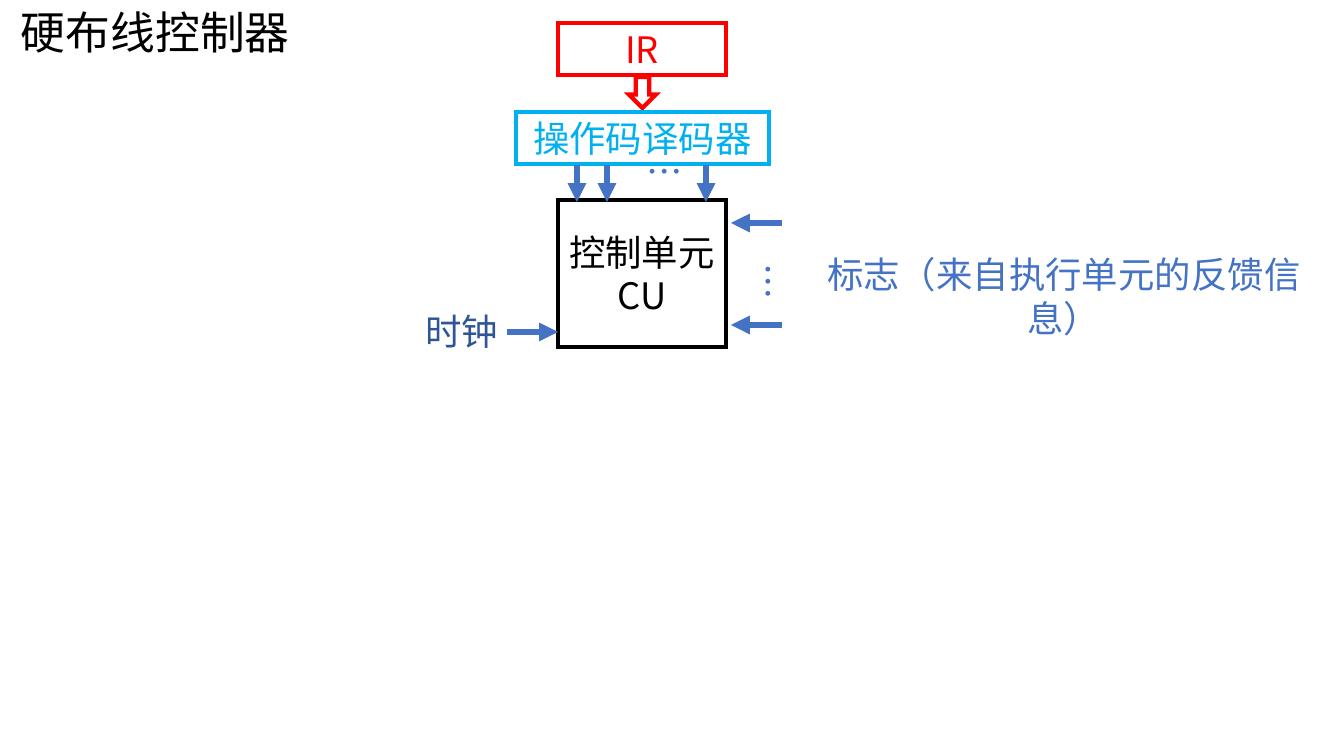
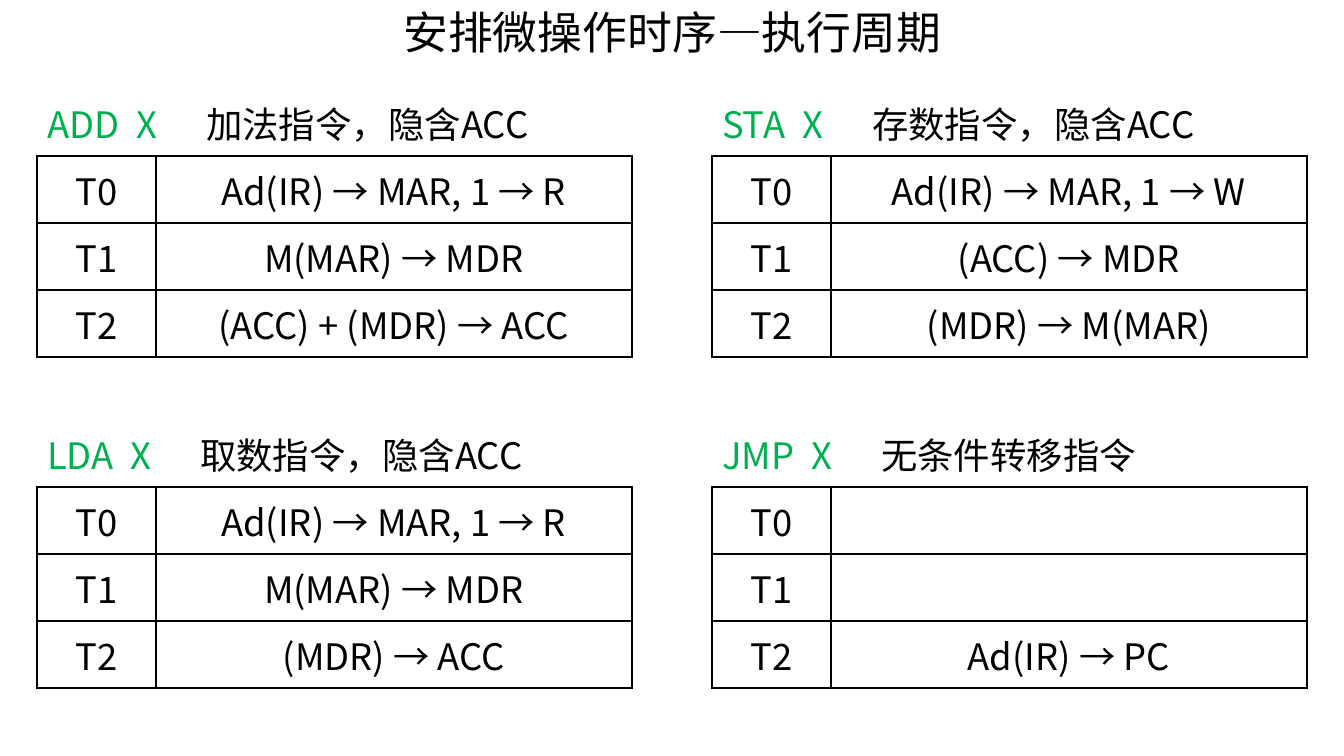
from dataclasses import dataclass
from itertools import product
from typing import Optional

from lxml.etree import SubElement
from pptx import Presentation
from pptx.dml.color import RGBColor
from pptx.enum.shapes import MSO_CONNECTOR as Conn, MSO_SHAPE as Shp
from pptx.enum.text import MSO_ANCHOR as Anchor, MSO_AUTO_SIZE as Auto, PP_ALIGN as Align
from pptx.oxml.ns import qn
from pptx.util import Emu, Pt

# Shared style
SLIDE_W, SLIDE_H = 1344, 756
EMU_PER_PX = 12192000 / SLIDE_W
FONT = "Noto Sans CJK SC"
TITLE_PT, BODY_PT = 32, 26
BLACK, RED, CYAN, GREEN = "000000", "FF0000", "00B0F0", "00B050"
BLUE, NAVY = "4472C4", "2F5597"

# Table grid
TABLE_XS, TABLE_YS = (37, 712), (89, 420)
COL_WIDTHS = (119, 476)
ROW_H = 67
NOTE_GAP = 70


@dataclass
class Block:
    box: tuple[int, int, int, int]
    color: str
    lines: tuple[str, ...] = ()
    kind: Shp = Shp.RECTANGLE


@dataclass
class Label:
    box: tuple[int, int, int, int]
    text: str
    color: str
    vertical: bool = False
    rotation: int = 0


@dataclass
class Arrow:
    start: tuple[int, int]
    end: tuple[int, int]


@dataclass
class Instruction:
    name: str
    operand_tab: int
    note: str
    steps: tuple[str, str, str]


BLOCKS = (
    Block((558, 200, 168, 147), BLACK, ("控制单元", "CU")),
    Block((558, 23, 168, 52), RED, ("IR",)),
    Block((629, 77, 27, 31), RED, kind=Shp.DOWN_ARROW),
    Block((516, 112, 253, 52), CYAN, ("操作码译码器",)),
)
LABELS = (
    Label((411, 304, 101, 54), "时钟", NAVY),
    Label((795, 247, 538, 54), "标志（来自执行单元的反馈信息）", BLUE),
    Label((731, 254, 65, 40), "…", BLUE, vertical=True),
    Label((624, 157, 65, 40), "…", BLUE, vertical=True, rotation=270),
)
ARROWS = (
    Arrow((507, 332), (558, 332)),
    *(Arrow((782, y), (731, y)) for y in (223, 325)),
    *(Arrow((x, 165), (x, 202)) for x in (577, 607, 706)),
)
INSTRUCTIONS = (
    Instruction("ADD", 89, "加法指令，隐含ACC",
                ("Ad(IR) → MAR, 1 → R", "M(MAR) → MDR", "(ACC) + (MDR) → ACC")),
    Instruction("STA", 80, "存数指令，隐含ACC",
                ("Ad(IR) → MAR, 1 → W", "(ACC) → MDR", "(MDR) → M(MAR)")),
    Instruction("LDA", 83, "取数指令，隐含ACC",
                ("Ad(IR) → MAR, 1 → R", "M(MAR) → MDR", "(MDR) → ACC")),
    Instruction("JMP", 89, "无条件转移指令", ("", "", "Ad(IR) → PC")),
)


# Helpers
def px(n: int) -> Emu:
    return Emu(round(n * EMU_PER_PX))


def place(box: tuple[int, int, int, int]) -> list[Emu]:
    return [px(n) for n in box]


def rgb(color: str) -> RGBColor:
    return RGBColor.from_string(color)


def add_run(p, text: str, color: str = BLACK, size: int = BODY_PT) -> None:
    r = p.add_run()
    r.text = text
    r.font.size = Pt(size)
    r.font.name = FONT
    r.font.color.rgb = rgb(color)
    SubElement(r.font._element, qn("a:ea"), typeface=FONT)


def set_line(line, color: str, width: float) -> None:
    line.color.rgb = rgb(color)
    line.width = Pt(width)
    SubElement(line._get_or_add_ln(), qn("a:miter"), lim="800000")


def add_title(prs, text: str, box: tuple[int, int, int, int]):
    s = prs.slides.add_slide(prs.slide_layouts[5])
    sp = s.shapes.title
    sp.left, sp.top, sp.width, sp.height = place(box)
    tf = sp.text_frame
    tf.auto_size, tf.word_wrap = Auto.NONE, True
    tf.vertical_anchor = Anchor.TOP
    p = tf.paragraphs[0]
    p.alignment = Align.CENTER
    add_run(p, text, size=TITLE_PT)
    return s


# Diagram parts
def add_block(s, block: Block) -> None:
    sp = s.shapes.add_shape(block.kind, *place(block.box))
    sp.shadow.inherit = False
    sp.fill.background()
    set_line(sp.line, block.color, 3)
    tf = sp.text_frame
    tf.vertical_anchor = Anchor.MIDDLE
    for i, text in enumerate(block.lines):
        p = tf.add_paragraph() if i else tf.paragraphs[0]
        p.alignment = Align.CENTER
        add_run(p, text, block.color)


def add_label(s, label: Label) -> None:
    sp = s.shapes.add_textbox(*place(label.box))
    sp.rotation = label.rotation
    tf = sp.text_frame
    tf.word_wrap = not label.vertical
    tf.auto_size = Auto.SHAPE_TO_FIT_TEXT
    p = tf.paragraphs[0]
    if label.vertical:
        tf._txBody.bodyPr.set("vert", "eaVert")
    else:
        p.alignment = Align.CENTER
    add_run(p, label.text, label.color)


def add_arrow(s, arrow: Arrow) -> None:
    ends = [px(n) for n in arrow.start + arrow.end]
    c = s.shapes.add_connector(Conn.STRAIGHT, *ends)
    set_line(c.line, BLUE, 4.5)
    SubElement(c.line._get_or_add_ln(), qn("a:tailEnd"), type="triangle")
    SubElement(c._element.spPr, qn("a:effectLst"))


# Table parts
def set_borders(cell, visible: str) -> None:
    tc_pr = cell._tc.get_or_add_tcPr()
    for side in "LRTB":
        ln = SubElement(tc_pr, qn(f"a:ln{side}"), w=str(Pt(1)))
        if side in visible:
            fill = SubElement(ln, qn("a:solidFill"))
            SubElement(fill, qn("a:srgbClr"), val=BLACK)
        else:
            SubElement(ln, qn("a:noFill"))


def style_cell(cell, text: Optional[str] = None, borders: str = "LRTB") -> None:
    set_borders(cell, borders)
    cell.fill.background()
    cell.vertical_anchor = Anchor.MIDDLE
    if text:
        p = cell.text_frame.paragraphs[0]
        p.alignment = Align.CENTER
        add_run(p, text)


def add_heading(cell, ins: Instruction) -> None:
    p = cell.text_frame.paragraphs[0]
    tabs = SubElement(p._p.get_or_add_pPr(), qn("a:tabLst"))
    for stop in (ins.operand_tab, ins.operand_tab + NOTE_GAP):
        SubElement(tabs, qn("a:tab"), pos=str(px(stop)), algn="l")
    add_run(p, f"{ins.name}\tX\t", GREEN)
    add_run(p, ins.note)


def add_timing_table(s, x: int, y: int, ins: Instruction) -> None:
    rows = len(ins.steps) + 1
    box = (x, y, sum(COL_WIDTHS), rows * ROW_H)
    table = s.shapes.add_table(rows, len(COL_WIDTHS), *place(box)).table
    table.first_row = table.horz_banding = False
    for col, width in zip(table.columns, COL_WIDTHS):
        col.width = px(width)
    for row in table.rows:
        row.height = px(ROW_H)
    for cell in table.rows[0].cells:
        style_cell(cell, borders="B")
    table.cell(0, 0).merge(table.cell(0, 1))
    add_heading(table.cell(0, 0), ins)
    for i, step in enumerate(ins.steps):
        style_cell(table.cell(i + 1, 0), f"T{i}")
        style_cell(table.cell(i + 1, 1), step)


# Slides
def build_controller(prs) -> None:
    s = add_title(prs, "硬布线控制器", (0, 0, 311, 65))
    for block in BLOCKS:
        add_block(s, block)
    for label in LABELS:
        add_label(s, label)
    for arrow in ARROWS:
        add_arrow(s, arrow)


def build_timing(prs) -> None:
    s = add_title(prs, "安排微操作时序—执行周期", (352, 0, 641, 65))
    for (y, x), ins in zip(product(TABLE_YS, TABLE_XS), INSTRUCTIONS):
        add_timing_table(s, x, y, ins)


def main() -> None:
    prs = Presentation()
    prs.slide_width, prs.slide_height = px(SLIDE_W), px(SLIDE_H)
    build_controller(prs)
    build_timing(prs)
    prs.save("out.pptx")


if __name__ == "__main__":
    main()
